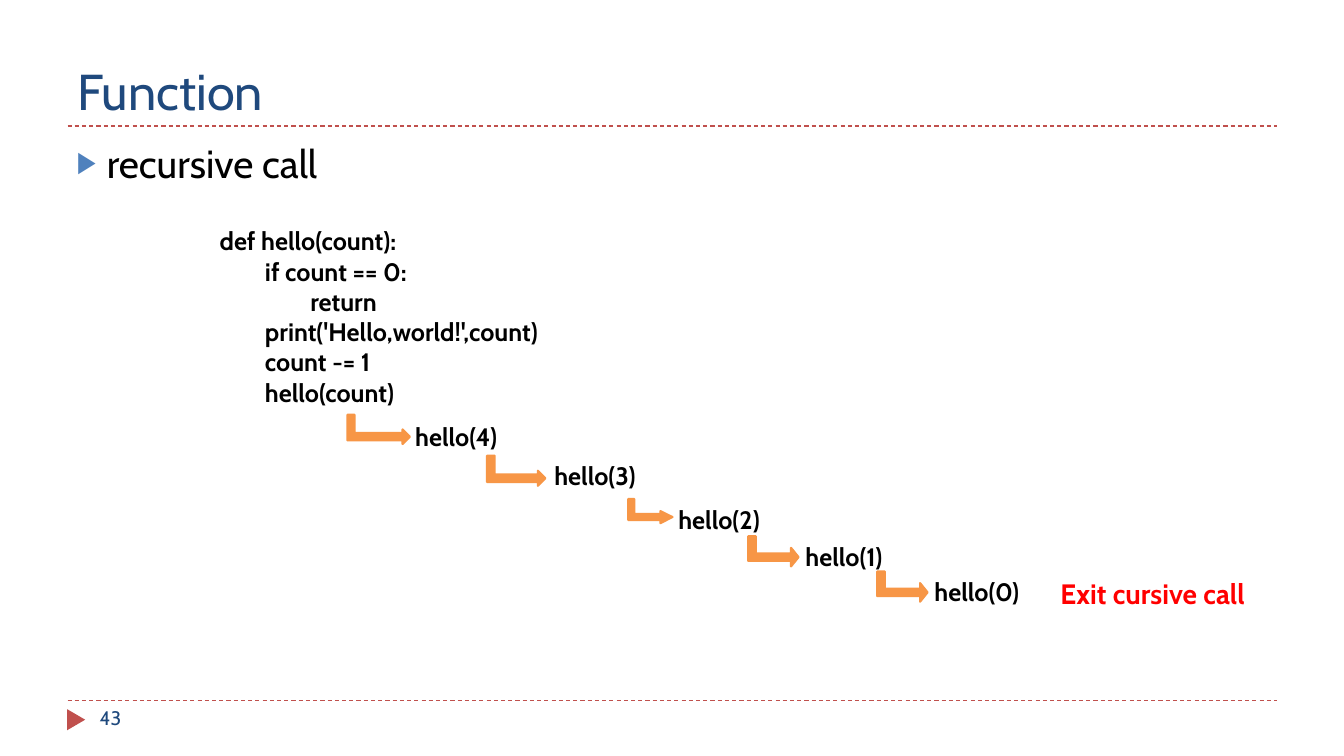
from lxml import etree
from pptx import Presentation
from pptx.dml.color import RGBColor
from pptx.enum.dml import MSO_LINE
from pptx.enum.shapes import MSO_CONNECTOR, MSO_SHAPE
from pptx.enum.text import MSO_ANCHOR, MSO_AUTO_SIZE, PP_ALIGN
from pptx.oxml.ns import qn
from pptx.util import Pt

PX = 9144  # 100 px to the inch
FONT = "Cabin"
NAVY, RED, ORANGE, BLUE, BLACK = "1F497D", "C0504D", "F79646", "4F81BD", "000000"

CODE = """def hello(count):
        if count == 0:
                return
        print('Hello,world!',count)
        count -= 1
        hello(count)"""

# label, left, top
CALLS = [
    ("hello(4)", 402, 413),
    ("hello(3)", 540, 452),
    ("hello(2)", 663, 495),
    ("hello(1)", 789, 532),
    ("hello(0)", 917, 567),
]
# left, top, width, height before the quarter turn, adjustments
ARROWS = [
    (361, 395, 29, 62, (0.25, 0.25, 0.25)),
    (497, 438, 30, 58, (0.25, 0.25, 0.25)),
    (633, 485, 24, 44, (0.25, 0.25, 0.5)),
    (752, 522, 30, 50, (0.25, 0.309, 0.25)),
    (880, 557, 30, 50, (0.25, 0.309, 0.25)),
]


def color(value):
    return RGBColor.from_string(value)


def scaled(*lengths):
    return [length * PX for length in lengths]


def place(shape, *frame):
    shape.left, shape.top, shape.width, shape.height = scaled(*frame)


def write(shape, text, size, ink, bold=False):
    frame = shape.text_frame
    frame.text = text
    frame.word_wrap = True
    frame.auto_size = MSO_AUTO_SIZE.NONE
    for para in frame.paragraphs:
        para.alignment = PP_ALIGN.LEFT
        for span in para.runs:
            span.font.name = FONT
            span.font.size = Pt(size)
            span.font.bold = bold
            span.font.color.rgb = color(ink)


def add_text(page, text, frame, size, ink, bold=True):
    box = page.shapes.add_textbox(*scaled(*frame))
    write(box, text, size, ink, bold)


def add_rule(page, top):
    """Dashed line across the page."""
    rule = page.shapes.add_connector(MSO_CONNECTOR.STRAIGHT, *scaled(67, top, 1267, top))
    rule.line.color.rgb = color(RED)
    rule.line.width = Pt(0.75)
    rule.line.dash_style = MSO_LINE.DASH
    etree.SubElement(rule._element.spPr, qn("a:effectLst"))


def add_turned_shape(page, kind, frame, fill):
    """Preset shape turned a quarter clockwise."""
    shape = page.shapes.add_shape(kind, *scaled(*frame))
    shape.rotation = 90
    shape.shadow.inherit = False
    shape.fill.solid()
    shape.fill.fore_color.rgb = color(fill)
    shape.line.fill.background()
    return shape


def add_call_arrow(page, *frame, adjustments):
    arrow = add_turned_shape(page, MSO_SHAPE.BENT_UP_ARROW, frame, ORANGE)
    arrow.line.color.rgb = color(ORANGE)
    arrow.line.width = Pt(1.5)
    for index, value in enumerate(adjustments):
        arrow.adjustments[index] = value


def add_bullet(para):
    properties = para._p.get_or_add_pPr()
    properties.set("marL", str(30 * PX))
    properties.set("indent", str(-30 * PX))
    bullet_color = etree.SubElement(properties, qn("a:buClr"))
    etree.SubElement(bullet_color, qn("a:srgbClr"), val=BLUE)
    etree.SubElement(properties, qn("a:buSzPct"), val="76000")
    etree.SubElement(properties, qn("a:buChar"), char="▶")


def main():
    deck = Presentation()
    deck.slide_width, deck.slide_height = scaled(1333, 750)
    page = deck.slides.add_slide(deck.slide_layouts[1])

    title, body = page.placeholders
    place(title, 67, 17, 1200, 108)
    write(title, "Function", 36, NAVY)
    title.text_frame.vertical_anchor = MSO_ANCHOR.BOTTOM
    place(body, 66, 133, 1200, 540)
    write(body, "recursive call", 28, BLACK)
    topic = body.text_frame.paragraphs[0]
    add_bullet(topic)
    topic.space_before = Pt(0)

    for top in (125, 695):
        add_rule(page, top)
    add_turned_shape(page, MSO_SHAPE.ISOSCELES_TRIANGLE, (65, 705, 21, 18), RED)
    add_text(page, "43", (89, 695, 289, 40), 14, NAVY, bold=False)

    add_text(page, CODE, (208, 219, 375, 192), 18, BLACK)
    for label, left, top in CALLS:
        add_text(page, label, (left, top, 300, 40), 18, BLACK)
    for *frame, adjustments in ARROWS:
        add_call_arrow(page, *frame, adjustments=adjustments)
    add_text(page, "Exit cursive call", (1042, 567, 243, 74), 20, "FF0000")

    deck.save("out.pptx")


if __name__ == "__main__":
    main()
